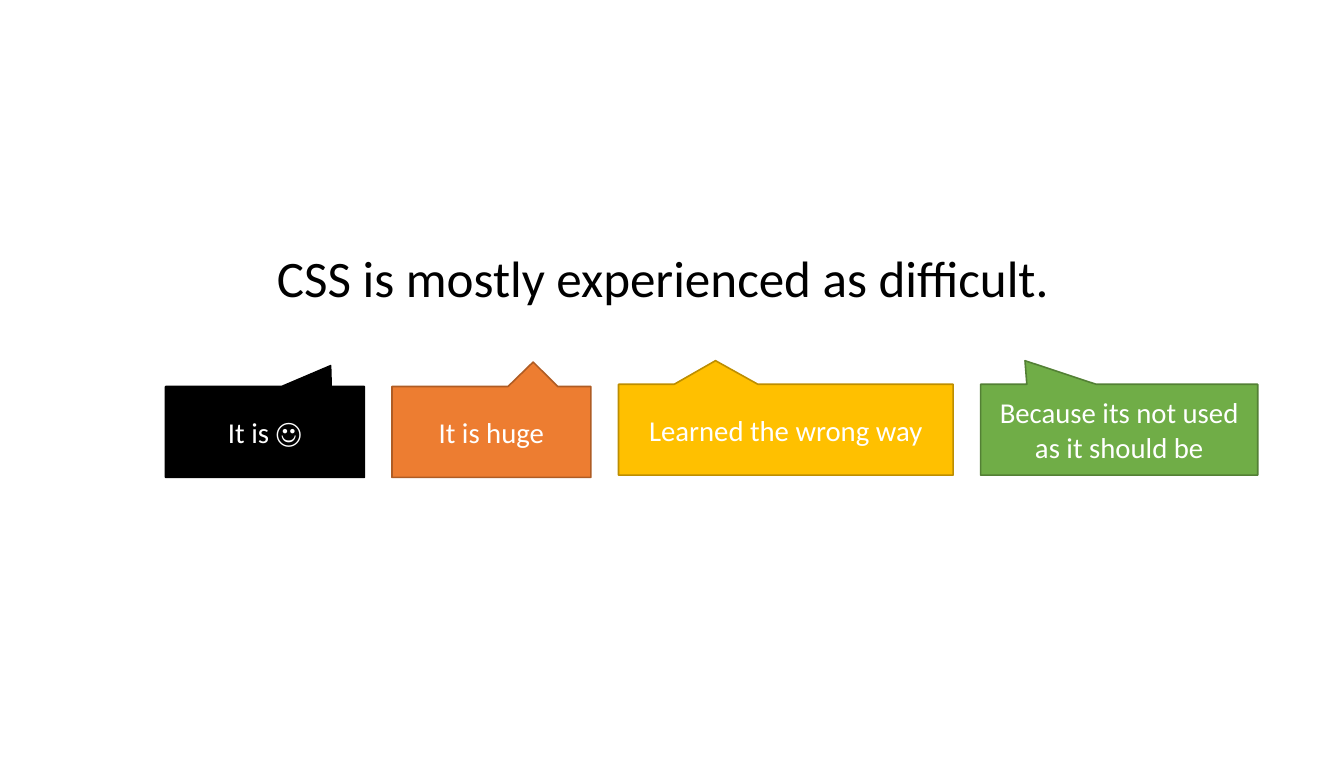
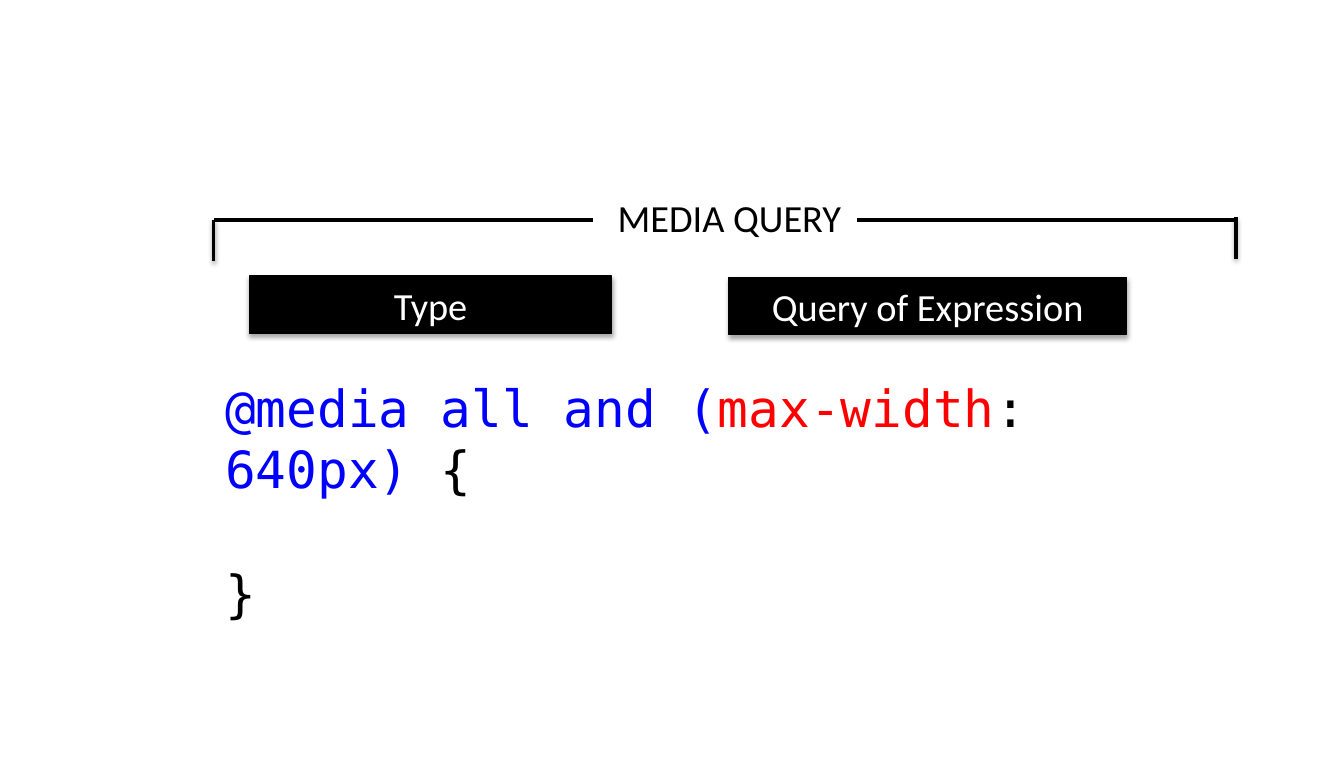
from dataclasses import dataclass

from lxml import etree
from pptx import Presentation
from pptx import util as u
from pptx.dml import color
from pptx.enum import shapes, text
from pptx.oxml import ns

PX = 9144


@dataclass(frozen=True)
class Theme:
    sans: str = "Calibri"
    mono: str = "DejaVu Sans Mono"
    black: str = "000000"
    white: str = "FFFFFF"
    keyword: str = "0000FF"
    feature: str = "FF0000"
    orange: str = "ED7D31"
    orange_edge: str = "AF5C24"
    yellow: str = "FFC000"
    yellow_edge: str = "BD8E00"
    green: str = "70AD47"
    green_edge: str = "538035"
    large: int = 32
    medium: int = 24
    small: int = 18


THEME = Theme()
CENTER, LEFT = text.PP_ALIGN.CENTER, text.PP_ALIGN.LEFT
TOP, MIDDLE = text.MSO_ANCHOR.TOP, text.MSO_ANCHOR.MIDDLE


def px(*lengths):
    return [length * PX for length in lengths]


def rgb(value):
    return color.RGBColor.from_string(value)


def write(shape, paragraphs, size, font=THEME.sans, align=CENTER, anchor=TOP, gap=0):
    frame = shape.text_frame
    frame.word_wrap = True
    frame.vertical_anchor = anchor
    for index, runs in enumerate(paragraphs):
        paragraph = frame.add_paragraph() if index else frame.paragraphs[0]
        paragraph.alignment = align
        if index:
            paragraph.space_before = u.Pt(gap)
        for words, ink in runs:
            run = paragraph.add_run()
            run.text = words
            run.font.name = font
            run.font.size = u.Pt(size)
            run.font.color.rgb = rgb(ink)


def add_text(slide, box, paragraphs, size, **style):
    write(slide.shapes.add_textbox(*px(*box)), paragraphs, size, **style)


def add_box(slide, kind, box, fill, edge, edge_width):
    shape = slide.shapes.add_shape(kind, *px(*box))
    shape.shadow.inherit = False
    shape.fill.solid()
    shape.fill.fore_color.rgb = rgb(fill)
    shape.line.color.rgb = rgb(edge)
    shape.line.width = u.Pt(edge_width)
    return shape


def add_line(slide, start, end, width):
    line = slide.shapes.add_connector(shapes.MSO_CONNECTOR.STRAIGHT, *px(*start, *end))
    line.line.color.rgb = rgb(THEME.black)
    line.line.width = u.Pt(width)
    etree.SubElement(line._element.spPr, ns.qn("a:effectLst"))
    return line


def drop_shadow(shape, distance, opacity):
    effects = shape._element.spPr.find(ns.qn("a:effectLst"))
    shadow = etree.SubElement(
        effects, ns.qn("a:outerShdw"), blurRad=str(u.Pt(3.1)),
        dist=str(u.Pt(distance)), dir="5400000", rotWithShape="0")
    ink = etree.SubElement(shadow, ns.qn("a:srgbClr"), val=THEME.black)
    etree.SubElement(ink, ns.qn("a:alpha"), val=str(opacity * 1000))


def add_callout(slide, box, words, fill, edge, tip):
    callout = add_box(slide, shapes.MSO_SHAPE.RECTANGULAR_CALLOUT, box, fill, edge, 1)
    callout.adjustments[0], callout.adjustments[1] = tip
    write(callout, [[(words, THEME.white)]], THEME.small, anchor=MIDDLE)


def add_label(slide, box, words):
    label = add_box(slide, shapes.MSO_SHAPE.RECTANGLE, box, THEME.black, THEME.black, 0.75)
    drop_shadow(label, 1.8, 35)
    write(label, [[(words, THEME.white)]], THEME.medium)


def add_bracket_half(slide, inner, outer, bar_y, tick_top):
    add_line(slide, (inner, bar_y), (outer, bar_y), 2.25)
    tick = add_line(slide, (outer, tick_top), (outer, tick_top + 36), 2)
    drop_shadow(tick, 1.6, 38)


def build_difficulty(slide):
    add_text(slide, (152, 160, 850, 161),
             [[("CSS is mostly experienced as difficult.", THEME.black)]],
             THEME.large, anchor=MIDDLE)
    callouts = [
        ("It is ☺", 336, 173, THEME.black, THEME.black, (0.33, -0.73)),
        ("It is huge", 336, 173, THEME.orange, THEME.orange_edge, (0.21, -0.77)),
        ("Learned the wrong way", 334, 291, THEME.yellow, THEME.yellow_edge, (-0.21, -0.76)),
        ("Because its not used as it should be", 334, 241,
         THEME.green, THEME.green_edge, (-0.34, -0.76)),
    ]
    left, gap = 144, 24
    for words, top, width, fill, edge, tip in callouts:
        add_callout(slide, (left, top, width, 79), words, fill, edge, tip)
        left += width + gap


def build_media_query(slide):
    black, blue, red = THEME.black, THEME.keyword, THEME.feature
    code = [
        [("@media", blue), (" ", black), ("all", blue), (" ", black), ("and", blue),
         (" ", black), ("(", blue), ("max-width", red), (": ", black),
         ("640px)", blue), (" {", black)],
        [("}", black)],
    ]
    add_text(slide, (186, 322, 898, 172), code, THEME.large,
             font=THEME.mono, align=LEFT, gap=39)
    add_text(slide, (477, 164, 315, 50), [[("MEDIA QUERY", black)]], THEME.medium)
    add_bracket_half(slide, 516, 186, 191, 191)
    add_bracket_half(slide, 745, 1075, 191, 189)
    add_label(slide, (217, 240, 315, 50), "Type")
    add_label(slide, (634, 241, 346, 50), "Query of Expression")


def main():
    presentation = Presentation()
    presentation.slide_width, presentation.slide_height = px(1169, 658)
    blank = presentation.slide_layouts[6]
    for build in (build_difficulty, build_media_query):
        build(presentation.slides.add_slide(blank))
    presentation.save("out.pptx")


if __name__ == "__main__":
    main()
